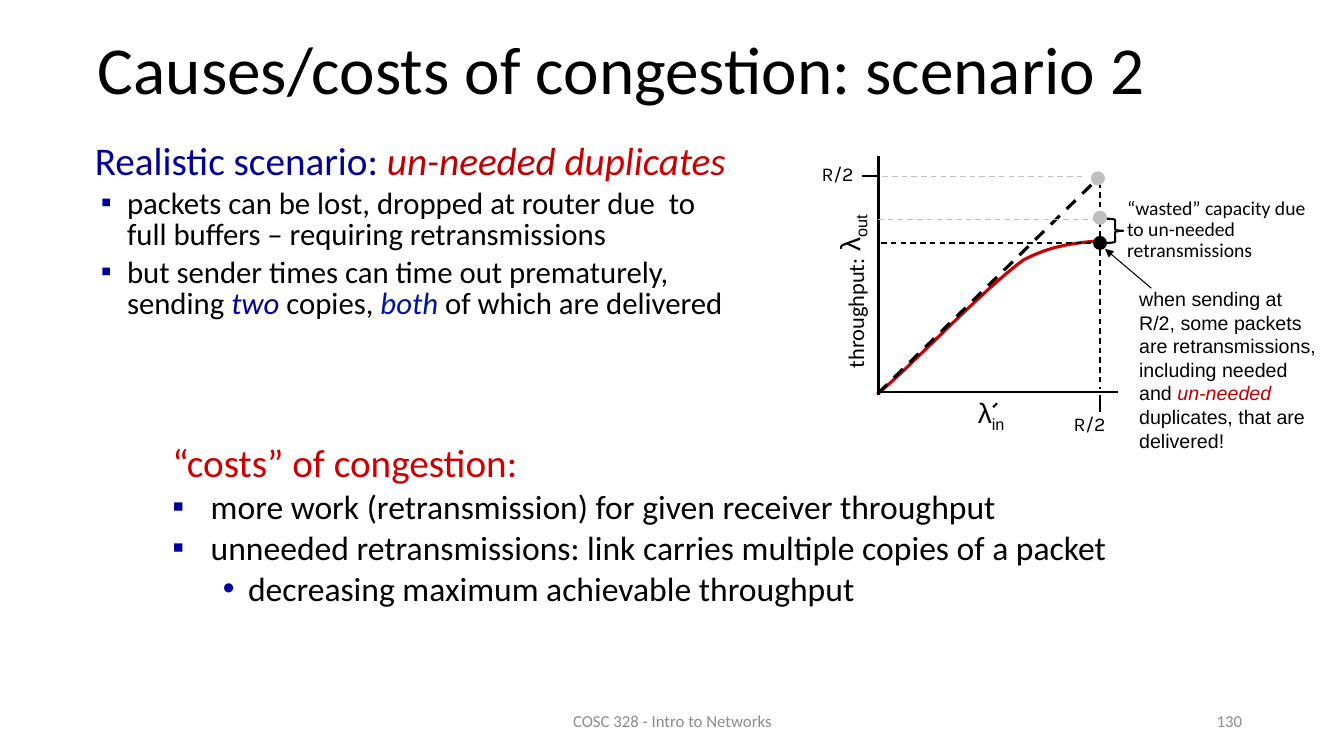
from lxml.etree import SubElement
from pptx import Presentation
from pptx.dml.color import RGBColor
from pptx.enum.dml import MSO_LINE
from pptx.enum.shapes import MSO_CONNECTOR, MSO_SHAPE
from pptx.enum.text import MSO_ANCHOR, MSO_AUTO_SIZE, PP_ALIGN
from pptx.oxml.ns import qn
from pptx.util import Inches, Pt

COLORS = {
    "black": "000000", "navy": "000099", "blue": "0013A3", "red": "CC0000",
    "dark red": "C00000", "silver": "BFBFBF", "gray": "8C8C8C",
}

TITLE = "Causes/costs of congestion: scenario 2"
HEADING = (28, None, 0.38, -0.38)
SCENARIO_ITEM = (22, "▪", 0.32, -0.26)
COST_ITEM = (24, "▪", 0.38, -0.38)
COST_SUBITEM = (24, "•", 0.75, -0.25)

SCENARIO = [
    (HEADING, [("Realistic scenario: ", "navy", False), ("un-needed ", "dark red", True),
               ("duplicates", "red", True)]),
    (SCENARIO_ITEM, [("packets can be lost, dropped at router due  to full buffers – "
                      "requiring retransmissions", "black", False)]),
    (SCENARIO_ITEM, [("but sender times can time out prematurely, sending ", "black", False),
                     ("two ", "navy", True), ("copies, ", "black", False),
                     ("both", "blue", True), (" of which are delivered", "black", False)]),
]
COSTS = [
    (HEADING, [("“costs” of congestion:", "red", False)]),
    (COST_ITEM, [("more work (retransmission) for given receiver throughput", "black", False)]),
    (COST_ITEM, [("unneeded retransmissions: link carries multiple copies of a packet",
                  "black", False)]),
    (COST_SUBITEM, [("decreasing maximum achievable throughput", "black", False)]),
]
WASTED = [("“wasted” capacity due to un-needed retransmissions", "black", False)]
SENDING = [
    ("when sending at R/2, some packets are retransmissions, including needed and ",
     "black", False),
    ("un-needed", "dark red", True),
    (" duplicates, that are delivered!", "black", False),
]

AXIS_X, AXIS_Y = 8.71, 3.89
LIMIT_X, LIMIT_Y = 10.91, 1.75
OFFERED_Y, REACHED_Y = 2.18, 2.41
LINES = [
    ((9.85, 4.04), (9.89, 4), "black", 1.5, False),
    ((AXIS_X, 1.55), (AXIS_X, 3.92), "black", 2, False),
    ((AXIS_X, AXIS_Y), (11.09, AXIS_Y), "black", 2, False),
    ((LIMIT_X, 1.81), (LIMIT_X, 3.86), "black", 1, True),
    ((AXIS_X, 3.9), (LIMIT_X, LIMIT_Y), "black", 2.25, True),
    ((8.55, LIMIT_Y), (AXIS_X, LIMIT_Y), "black", 1.5, False),
    ((LIMIT_X, 3.92), (LIMIT_X, 4.09), "black", 1.5, False),
    ((8.75, LIMIT_Y), (10.76, LIMIT_Y), "silver", 1, True),
    ((AXIS_X, OFFERED_Y), (10.87, OFFERED_Y), "silver", 1, True),
    ((8.74, REACHED_Y), (10.9, REACHED_Y), "black", 1, True),
]
THROUGHPUT_CURVE = [
    ((8.7, 3.91), (8.98, 3.69), (9.76, 2.86), (10.15, 2.58)),
    ((10.15, 2.58), (10.34, 2.48), (10.55, 2.41), (10.92, 2.39)),
]
CURVE_STEPS = 16
DOT_SIZE = 0.14
DOTS = [(10.82, 1.7, "silver"), (10.84, 2.09, "silver"), (10.84, 2.34, "black")]
AXIS_LABELS = [
    ((9.6, 3.87, 0.5, 0.44), "λ", "in", "Arial", 20, 0),
    ((8.05, 1.56, 0.89, 0.56), "R/2", "", "Karla", 14, 0),
    ((10.55, 4.04, 0.89, 0.56), "R/2", "", "Karla", 14, 0),
    ((8.08, 1.7, 1.02, 0.77), "λ", "out", "Arial", 20, 270),
    ((7.81, 2.89, 1.35, 0.37), "throughput:", "", "Calibri", 16, 270),
]
FOOTERS = [
    ((4.42, 6.95, 4.5, 0.4), "COSC 328 - Intro to Networks", PP_ALIGN.CENTER),
    ((9.42, 6.95, 3, 0.4), "130", PP_ALIGN.RIGHT),
]


def color(name):
    return RGBColor.from_string(COLORS[name])


def place(shape, box):
    shape.left, shape.top, shape.width, shape.height = map(Inches, box)


def style(paragraph, font_name, size, color_name="black"):
    paragraph.font.name = font_name
    paragraph.font.size = Pt(size)
    paragraph.font.color.rgb = color(color_name)


def add_runs(paragraph, runs):
    for text, color_name, italic in runs:
        run = paragraph.add_run()
        run.text = text
        run.font.color.rgb = color(color_name)
        run.font.italic = italic


def set_bullet(paragraph, bullet, margin, indent):
    properties = paragraph._p.get_or_add_pPr()
    properties.set("marL", str(Inches(margin)))
    properties.set("indent", str(Inches(indent)))
    if bullet is None:
        SubElement(properties, qn("a:buNone"))
        return
    bullet_color = SubElement(properties, qn("a:buClr"))
    SubElement(bullet_color, qn("a:srgbClr"), val=COLORS["navy"])
    SubElement(properties, qn("a:buFont"), typeface="Arial")
    SubElement(properties, qn("a:buChar"), char=bullet)


def fill_list(placeholder, box, items):
    place(placeholder, box)
    frame = placeholder.text_frame
    frame.auto_size = MSO_AUTO_SIZE.NONE
    for number, ((size, bullet, margin, indent), runs) in enumerate(items):
        paragraph = frame.add_paragraph() if number else frame.paragraphs[0]
        paragraph.level = 1 if bullet == "•" else 0
        set_bullet(paragraph, bullet, margin, indent)
        paragraph.line_spacing = 0.85
        paragraph.space_before = Pt(size * 0.2 if number else 0)
        style(paragraph, "Calibri", size)
        add_runs(paragraph, runs)


def add_text(slide, box, wrap=True):
    shape = slide.shapes.add_textbox(*map(Inches, box))
    shape.text_frame.word_wrap = wrap
    shape.text_frame.auto_size = MSO_AUTO_SIZE.SHAPE_TO_FIT_TEXT
    return shape, shape.text_frame.paragraphs[0]


def add_line(slide, start, end, color_name, width, dashed=False):
    line = slide.shapes.add_connector(MSO_CONNECTOR.STRAIGHT, *map(Inches, start + end))
    line.line.color.rgb = color(color_name)
    line.line.width = Pt(width)
    if dashed:
        line.line.dash_style = MSO_LINE.DASH
    SubElement(line._element.spPr, qn("a:effectLst"))
    return line


def curve_point(segment, t):
    weights = ((1 - t) ** 3, 3 * t * (1 - t) ** 2, 3 * t * t * (1 - t), t ** 3)
    return tuple(Inches(sum(w * point[axis] for w, point in zip(weights, segment)))
                 for axis in (0, 1))


def add_graph(slide):
    points = [curve_point(segment, step / CURVE_STEPS)
              for segment in THROUGHPUT_CURVE for step in range(CURVE_STEPS + 1)]
    builder = slide.shapes.build_freeform(*points[0])
    builder.add_line_segments(points[1:], close=False)
    curve = builder.convert_to_shape()
    curve.shadow.inherit = False
    curve.fill.background()
    curve.line.color.rgb = color("red")
    curve.line.width = Pt(2.25)
    for line in LINES:
        add_line(slide, *line)
    for left, top, color_name in DOTS:
        dot = slide.shapes.add_shape(
            MSO_SHAPE.OVAL, *map(Inches, (left, top, DOT_SIZE, DOT_SIZE)))
        dot.shadow.inherit = False
        dot.fill.solid()
        dot.fill.fore_color.rgb = color(color_name)
        dot.line.fill.background()
    for box, text, subscript, font_name, size, rotation in AXIS_LABELS:
        label, paragraph = add_text(slide, box, wrap=False)
        label.rotation = rotation
        style(paragraph, font_name, size)
        paragraph.add_run().text = text
        if subscript:
            run = paragraph.add_run()
            run.text = subscript
            run.font._element.set("baseline", "-25000")


def add_notes_beside_graph(slide):
    for box, runs, font_name, spacing in (
        ((11.2, 2.8, 1.97, 1.75), SENDING, "Arial", 1.0),
        ((11.08, 1.92, 1.99, 0.74), WASTED, "Calibri", 0.9),
    ):
        paragraph = add_text(slide, box)[1]
        paragraph.line_spacing = spacing
        style(paragraph, font_name, 14)
        add_runs(paragraph, runs)
    arrow = add_line(slide, (11.42, 2.86), (10.96, 2.47), "black", 0.75)
    SubElement(arrow.line._get_or_add_ln(), qn("a:tailEnd"), type="triangle")
    brace = slide.shapes.add_shape(
        MSO_SHAPE.RIGHT_BRACE, *map(Inches, (10.98, 2.17, 0.16, 0.24)))
    brace.shadow.inherit = False
    brace.fill.background()
    brace.line.color.rgb = color("black")
    brace.line.width = Pt(1.5)


def main():
    presentation = Presentation()
    presentation.slide_width, presentation.slide_height = Inches(13.33), Inches(7.5)
    slide = presentation.slides.add_slide(presentation.slide_layouts[3])
    title = slide.shapes.title
    place(title, (0.87, 0.23, 12.46, 0.98))
    title.text_frame.text = TITLE
    title.text_frame.auto_size = MSO_AUTO_SIZE.NONE
    title.text_frame.vertical_anchor = MSO_ANCHOR.MIDDLE
    heading = title.text_frame.paragraphs[0]
    heading.alignment = PP_ALIGN.LEFT
    heading.line_spacing = 0.9
    style(heading, "Calibri", 48)
    fill_list(slide.placeholders[1], (0.84, 1.37, 6.5, 2.28), SCENARIO)
    fill_list(slide.placeholders[2], (1.61, 4.37, 10.27, 2.36), COSTS)
    add_graph(slide)
    add_notes_beside_graph(slide)
    for box, text, alignment in FOOTERS:
        footer, paragraph = add_text(slide, box)
        footer.text_frame.auto_size = MSO_AUTO_SIZE.NONE
        footer.text_frame.vertical_anchor = MSO_ANCHOR.MIDDLE
        paragraph.text = text
        paragraph.alignment = alignment
        style(paragraph, "Calibri", 12, "gray")
    presentation.save("out.pptx")


if __name__ == "__main__":
    main()
